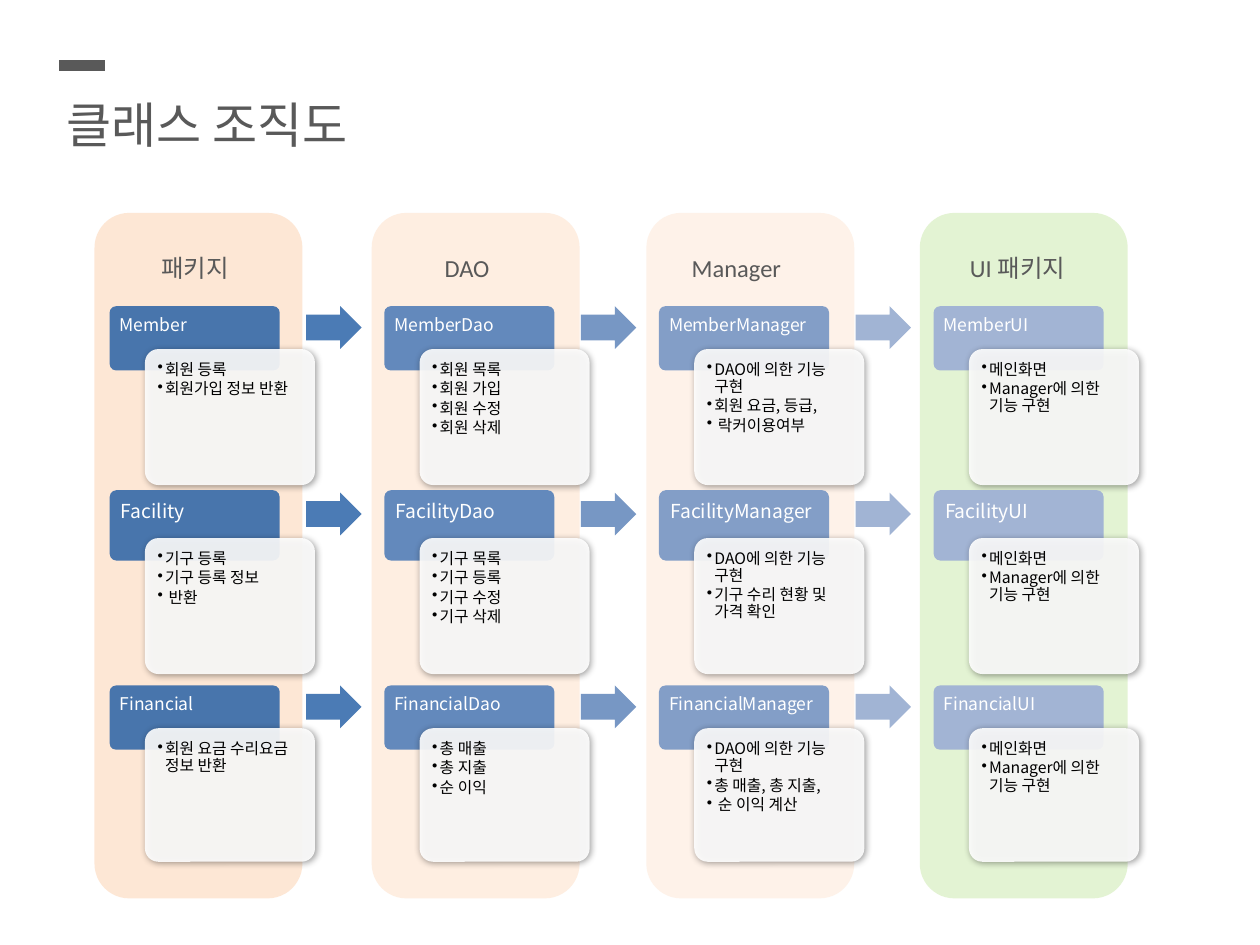
from lxml.etree import SubElement
from pptx import Presentation
from pptx.dml.color import RGBColor
from pptx.enum.shapes import MSO_CONNECTOR, MSO_SHAPE
from pptx.enum.text import MSO_ANCHOR, MSO_AUTO_SIZE
from pptx.oxml.ns import qn
from pptx.util import Inches, Pt

GRAY = RGBColor(0x59, 0x59, 0x59)
WHITE = RGBColor(0xFF, 0xFF, 0xFF)
BLACK = RGBColor(0, 0, 0)
PEACH = RGBColor(0xFB, 0xB2, 0x77)
GREEN = RGBColor(0x92, 0xD0, 0x50)
TAG_BLUES = [RGBColor(0x48, 0x75, 0xAC), RGBColor(0x63, 0x89, 0xBC),
             RGBColor(0x83, 0x9E, 0xC7), RGBColor(0xA2, 0xB4, 0xD4)]
ARROW_BLUES = [RGBColor(0x4B, 0x7B, 0xB5), RGBColor(0x77, 0x97, 0xC4),
               RGBColor(0xA1, 0xB4, 0xD4)]
KOREAN = "Noto Sans CJK KR"

COL_LEFT, COL_STEP = 0.87, 2.18
BOX_W, CARD_DX = 1.35, 0.28

# panel left, fill, opacity %, heading, heading left, heading width
PANELS = [
    (0.75, PEACH, 30, "패키지", 1.18, 0.79),
    (2.95, PEACH, 22, "DAO", 3.43, 0.64),
    (5.13, PEACH, 16, "Manager", 5.39, 1.08),
    (7.3, GREEN, 25, "UI 패키지", 7.6, 1.06),
]
UI_ITEMS = ["메인화면", "Manager에 의한 기능 구현"]
DAO_BASED = "DAO에 의한 기능 구현"

# name, top, tag height, card top, card height, arrow top, tag size, tag inset, items
ROWS = [
    ("Member", 2.43, 0.51, 2.77, 1.08, 2.43, 10, 0.08, [
        ["회원 등록", "회원가입 정보 반환"],
        ["회원 목록", "회원 가입", "회원 수정", "회원 삭제"],
        [DAO_BASED, "회원 요금, 등급,", " 락커이용여부"],
        UI_ITEMS]),
    ("Facility", 3.89, 0.56, 4.27, 1.08, 3.91, 11, 0.09, [
        ["기구 등록", "기구 등록 정보", " 반환"],
        ["기구 목록", "기구 등록", "기구 수정", "기구 삭제"],
        [DAO_BASED, "기구 수리 현황 및 가격 확인"],
        UI_ITEMS]),
    ("Financial", 5.44, 0.51, 5.78, 1.06, 5.44, 10, 0.08, [
        ["회원 요금 수리요금 정보 반환"],
        ["총 매출", "총 지출", "순 이익"],
        [DAO_BASED, "총 매출, 총 지출,", " 순 이익 계산"],
        UI_ITEMS]),
]
SUFFIXES = ["", "Dao", "Manager", "UI"]


def add_box(shapes, kind, box, color, opacity=100, adj=()):
    """Filled preset shape without outline; box is (left, top, width, height) in inches."""
    sp = shapes.add_shape(kind, *map(Inches, box))
    sp.shadow.inherit = False
    sp.fill.solid()
    sp.fill.fore_color.rgb = color
    sp.line.fill.background()
    for i, value in enumerate(adj):
        sp.adjustments[i] = value
    if opacity < 100:
        clr = sp.fill._xPr.find(qn("a:solidFill"))[0]
        SubElement(clr, qn("a:alpha"), val=str(opacity * 1000))
    return sp


def add_soft_shadow(sp):
    effects = sp._element.spPr.find(qn("a:effectLst"))
    shadow = SubElement(effects, qn("a:outerShdw"), blurRad=str(Pt(4)), dist=str(Pt(1)),
                        dir=str(45 * 60000), algn="tl", rotWithShape="0")
    clr = SubElement(shadow, qn("a:srgbClr"), val="000000")
    SubElement(clr, qn("a:alpha"), val="42000")


def add_text(shapes, box, lines, size, color, font, wrap=True, insets=None):
    s = shapes.add_textbox(*map(Inches, box))
    tf = s.text_frame
    tf.text = "\n".join(lines)
    tf.word_wrap = wrap
    tf.vertical_anchor = MSO_ANCHOR.TOP
    if insets:
        tf.margin_left, tf.margin_top, tf.margin_right, tf.margin_bottom = map(Inches, insets)
    else:
        tf.auto_size = MSO_AUTO_SIZE.SHAPE_TO_FIT_TEXT
    for p in tf.paragraphs:
        for r in p.runs:
            r.font.size = Pt(size)
            r.font.name = font
            r.font.color.rgb = color
            SubElement(r._r.get_or_add_rPr(), qn("a:ea"), typeface=KOREAN)
    return tf


def add_bullet(p):
    pPr = p._p.get_or_add_pPr()
    pPr.set("marL", str(Inches(0.06)))
    pPr.set("indent", str(Inches(-0.06)))
    SubElement(pPr, qn("a:buChar"), char="•")


def add_title(shapes, left, top):
    mark = shapes.add_connector(MSO_CONNECTOR.STRAIGHT, Inches(left + 0.04), Inches(top - 0.18),
                                Inches(left + 0.4), Inches(top - 0.18))
    mark.line.color.rgb = GRAY
    mark.line.width = Pt(6)
    SubElement(mark._element.spPr, qn("a:effectLst"))
    add_text(shapes, (left, top, 5.67, 0.57), ["클래스 조직도"], 28, GRAY, "Arial")


def add_tag(shapes, left, top, height, name, color, size, inset):
    add_box(shapes, MSO_SHAPE.ROUNDED_RECTANGLE, (left, top, BOX_W, height), color, adj=[0.1])
    tf = add_text(shapes, (left, top, BOX_W, height * 2 / 3), [name], size, WHITE, KOREAN,
                  insets=(inset, inset, inset, inset - 0.04))
    tf.paragraphs[0].line_spacing = 0.9


def add_card(shapes, left, top, height, items):
    card = add_box(shapes, MSO_SHAPE.ROUNDED_RECTANGLE, (left, top, BOX_W, height),
                   WHITE, 90, [0.1])
    add_soft_shadow(card)
    pad = 0.03
    tf = add_text(shapes, (left + pad, top + pad, BOX_W - 2 * pad, height - 2 * pad), items,
                  9, BLACK, KOREAN, insets=[0.07] * 4)
    for p in tf.paragraphs:
        p.level = 1
        p.line_spacing = 0.9
        p.space_after = Pt(1.4)
        add_bullet(p)


def add_row(shapes, name, top, tag_h, card_top, card_h, arrow_top, size, inset, columns):
    """One class family, from its plain class to its UI class, as a group."""
    group = shapes.add_group_shape().shapes
    for i, (suffix, items) in enumerate(zip(SUFFIXES, columns)):
        left = COL_LEFT + i * COL_STEP
        add_tag(group, left, top, tag_h, name + suffix, TAG_BLUES[i], size, inset)
        add_card(group, left + CARD_DX, card_top, card_h, items)
        if i < len(ARROW_BLUES):
            add_box(group, MSO_SHAPE.RIGHT_ARROW, (left + 1.56, arrow_top, 0.44, 0.34),
                    ARROW_BLUES[i], adj=[0.6, 0.5])


def main():
    prs = Presentation()
    prs.slide_width, prs.slide_height = Inches(10), Inches(7.5)
    shapes = prs.slides.add_slide(prs.slide_layouts[6]).shapes
    for left, color, opacity, *_ in PANELS:
        add_box(shapes, MSO_SHAPE.ROUNDED_RECTANGLE, (left, 1.69, 1.65, 5.44), color, opacity)
    add_title(shapes, 0.43, 0.7)
    for row in ROWS:
        add_row(shapes, *row)
    for *_, heading, left, width in PANELS:
        add_text(shapes, (left, 1.96, width, 0.34), [heading], 14, GRAY, "Calibri", wrap=False)
    prs.save("out.pptx")


if __name__ == "__main__":
    main()
